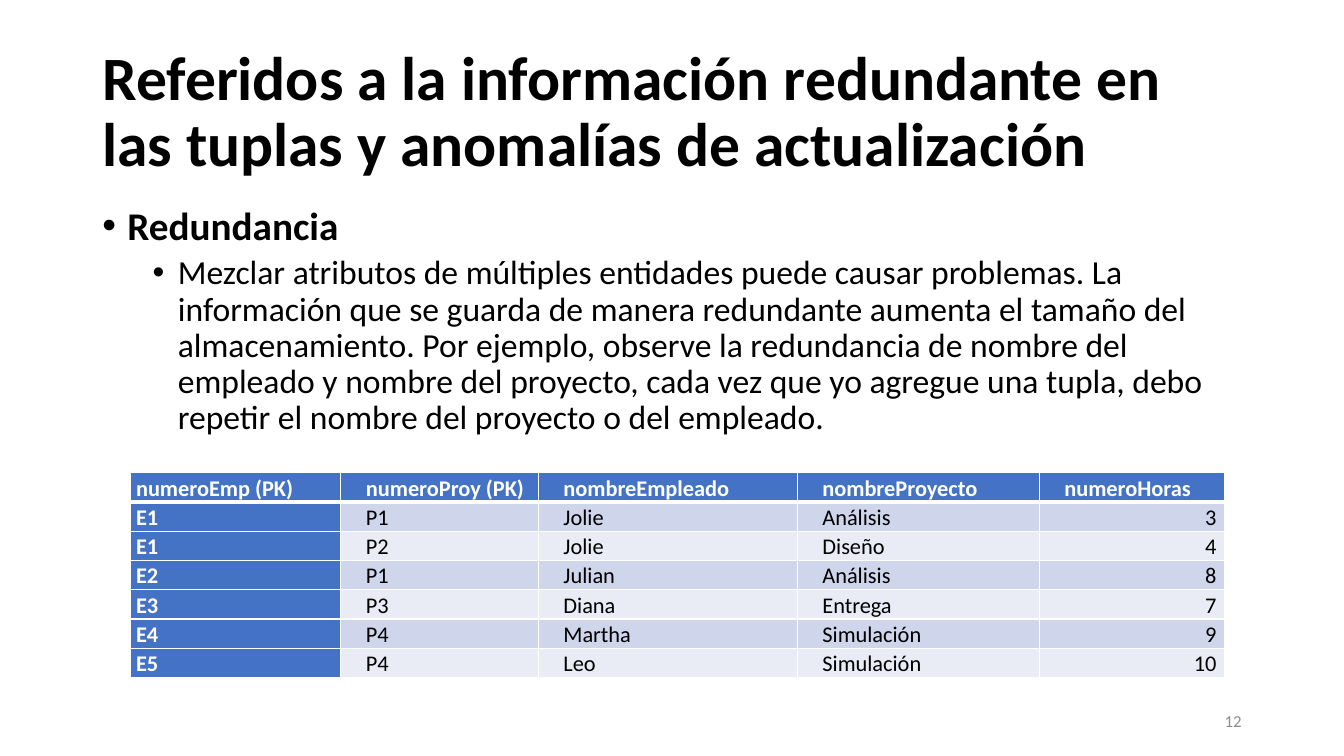
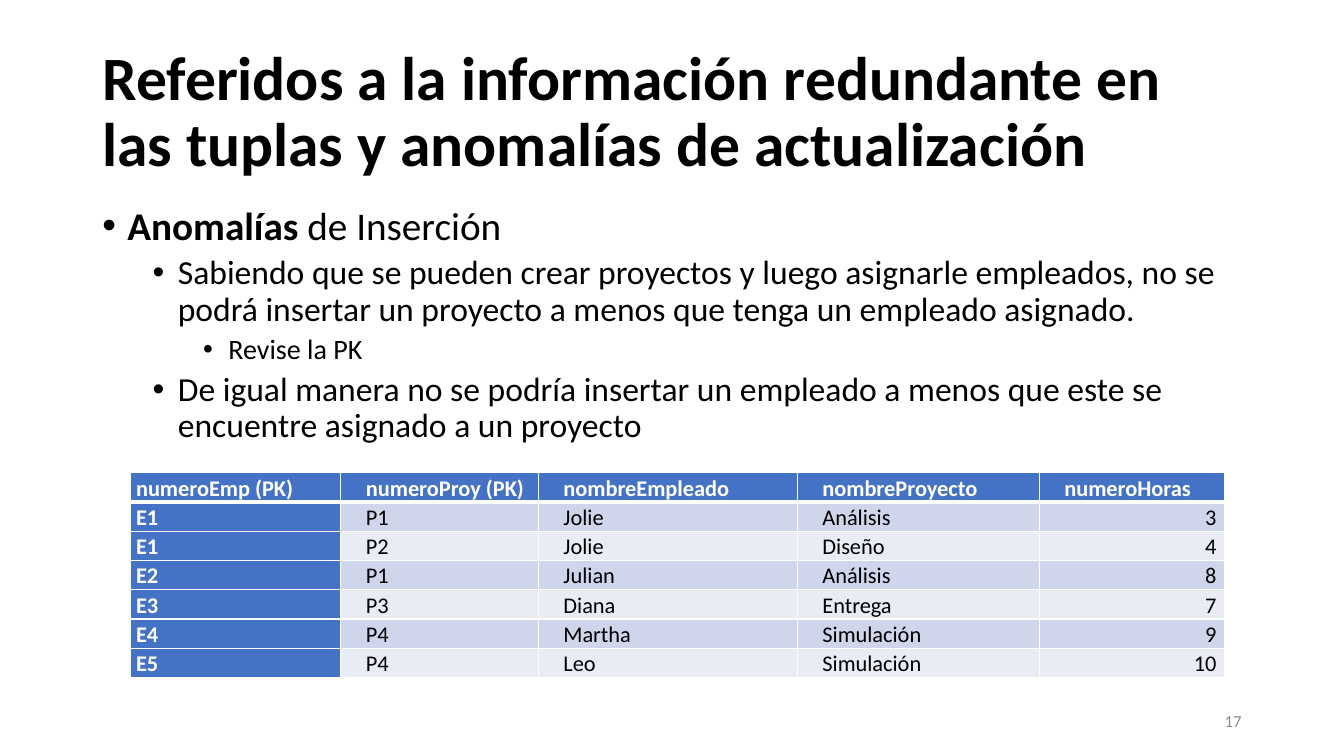
"""Build two slides on redundancy and update anomalies in tuples."""
from lxml import etree
from pptx import Presentation
from pptx import util as u
from pptx.dml import color
from pptx.enum import text as t
from pptx.oxml import ns

Pt = u.Pt
FONT = "Calibri"
HUES = {"ink": "000000", "white": "FFFFFF", "blue": "4472C4",
        "odd": "CFD5EA", "even": "E9EBF5", "gray": "8C8C8C"}
LEFT, WIDE = 66, 828
TITLE = ("Referidos a la información redundante en las tuplas "
         "y anomalías de actualización")
SIZES = (28, 24, 20)
COLS = (150.5, 141.1, 185, 172.8, 132.5)
ROW = 20.9
ROWS = (
    ("numeroEmp (PK)", "numeroProy (PK)", "nombreEmpleado",
     "nombreProyecto", "numeroHoras "),
    ("E1", "P1", "Jolie", "Análisis", "3 "),
    ("E1", "P2", "Jolie", "Diseño", "4 "),
    ("E2", "P1", "Julian", "Análisis", "8 "),
    ("E3", "P3", "Diana", "Entrega", "7 "),
    ("E4", "P4", "Martha", "Simulación", "9 "),
    ("E5", "P4", "Leo", "Simulación", "10 "),
)
PAGES = (
    (12, (
        (0, "Redundancia", ""),
        (1, "", "Mezclar atributos de múltiples entidades puede causar "
         "problemas. La información que se guarda de manera redundante "
         "aumenta el tamaño del almacenamiento. Por ejemplo, observe la "
         "redundancia de nombre del empleado y nombre del proyecto, cada "
         "vez que yo agregue una tupla, debo repetir el nombre del "
         "proyecto o del empleado."),
    )),
    (17, (
        (0, "Anomalías ", "de Inserción"),
        (1, "", "Sabiendo que se pueden crear proyectos y luego asignarle "
         "empleados, no se podrá insertar un proyecto a menos que tenga un "
         "empleado asignado."),
        (2, "", "Revise la PK"),
        (1, "", "De igual manera no se podría insertar un empleado a menos "
         "que este se encuentre asignado a un proyecto"),
    )),
)


def tint(name):
    """Return a named colour."""
    return color.RGBColor.from_string(HUES[name])


def write(para, words, size=16, hue="ink", bold=False, align="LEFT",
          line=1, left=0, hang=0):
    """Add a run to a paragraph and set its format."""
    para.alignment = getattr(t.PP_ALIGN, align)
    para.line_spacing = line
    props = para._p.get_or_add_pPr()
    props.set("marL", str(Pt(left)))
    props.set("indent", str(Pt(-hang)))
    run = para.add_run()
    run.text = words
    font = run.font
    font.name, font.size, font.bold = FONT, Pt(size), bold
    font.color.rgb = tint(hue)


def box(slide, left, top, wide, high, anchor="MIDDLE"):
    """Add a wrapping text box and return its frame."""
    frame = slide.shapes.add_textbox(
        Pt(left), Pt(top), Pt(wide), Pt(high)).text_frame
    frame.word_wrap = True
    frame.vertical_anchor = getattr(t.MSO_ANCHOR, anchor)
    return frame


def bullet(para):
    """Give a paragraph a round bullet."""
    props = para._p.get_or_add_pPr()
    etree.SubElement(props, ns.qn("a:buFont"), typeface="Arial")
    etree.SubElement(props, ns.qn("a:buChar"), char="•")


def points(slide, items):
    """Add the bulleted body."""
    frame = box(slide, LEFT, 144, WIDE, 342.7, "TOP")
    for i, (level, strong, plain) in enumerate(items):
        para = frame.add_paragraph() if i else frame.paragraphs[0]
        para.level = level
        if i:
            para.space_before = Pt(5)
        for words, bold in ((strong, True), (plain, False)):
            if words:
                write(para, words, size=SIZES[level], bold=bold, line=0.9,
                      left=18 + 36 * level, hang=18)
        bullet(para)


def border(cell, row):
    """Draw white cell edges, thicker below the header."""
    props = cell._tc.get_or_add_tcPr()
    widths = {"L": 1, "R": 1, "T": 3 if row == 1 else 1,
              "B": 3 if row == 0 else 1}
    for side, width in widths.items():
        edge = etree.SubElement(props, ns.qn("a:ln" + side), w=str(Pt(width)))
        fill = etree.SubElement(edge, ns.qn("a:solidFill"))
        etree.SubElement(fill, ns.qn("a:srgbClr"), val=HUES["white"])


def fill(cell, words, row, col):
    """Fill and format one table cell."""
    head = row == 0 or col == 0
    align = "LEFT"
    if col == len(COLS) - 1:
        align = "RIGHT" if row else "JUSTIFY"
    border(cell, row)
    cell.fill.solid()
    cell.fill.fore_color.rgb = tint(
        "blue" if head else "odd" if row % 2 else "even")
    cell.margin_left = cell.margin_top = cell.margin_bottom = 0
    cell.margin_right = Pt(2.2)
    write(cell.text_frame.paragraphs[0], words, bold=head, align=align,
          hue="white" if head else "ink", line=1.07,
          left=18.7 if col else 5, hang=0.7)


def grid(slide):
    """Add the table of employees and projects."""
    table = slide.shapes.add_table(
        len(ROWS), len(COLS), Pt(92.9), Pt(337.7),
        Pt(sum(COLS)), Pt(ROW * len(ROWS))).table
    table.first_row = table.horz_banding = False
    for col, width in zip(table.columns, COLS):
        col.width = Pt(width)
    for i, row in enumerate(ROWS):
        table.rows[i].height = Pt(ROW)
        for j, words in enumerate(row):
            fill(table.cell(i, j), words, i, j)


def main():
    """Build and save the slides."""
    deck = Presentation()
    deck.slide_width, deck.slide_height = Pt(960), Pt(540)
    for number, items in PAGES:
        slide = deck.slides.add_slide(deck.slide_layouts[6])
        write(box(slide, LEFT, 28.8, WIDE, 104.4).paragraphs[0], TITLE,
              size=44, bold=True, line=0.9)
        points(slide, items)
        grid(slide)
        write(box(slide, 678, 500.5, 216, 28.8).paragraphs[0], str(number),
              size=12, hue="gray", align="RIGHT")
    deck.save("out.pptx")


if __name__ == "__main__":
    main()
